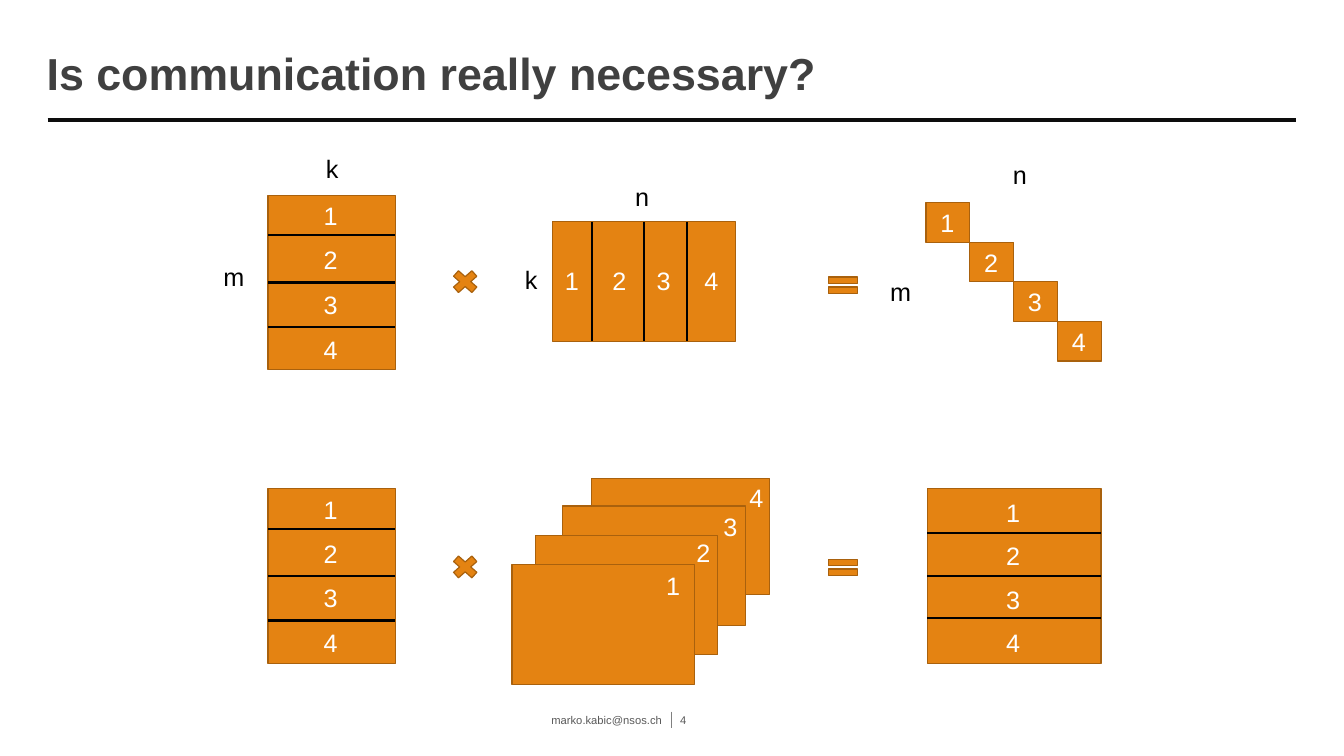
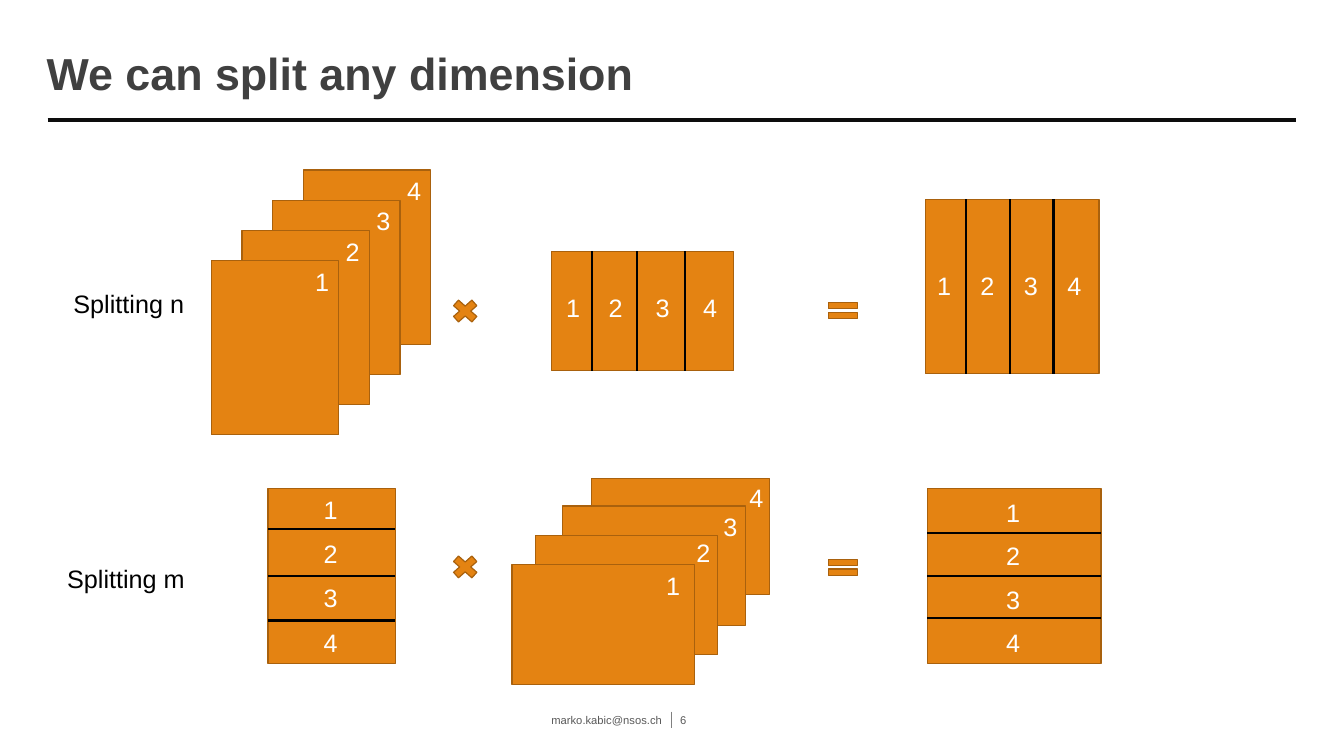
from dataclasses import dataclass

import pptx
import pptx.dml.color
import pptx.enum.shapes
import pptx.enum.text
import pptx.oxml.ns
import pptx.presentation
import pptx.shapes.autoshape
import pptx.shapes.connector
import pptx.slide
import pptx.util
from lxml import etree

Pt = pptx.util.Pt
SHAPE = pptx.enum.shapes.MSO_SHAPE
ALIGN = pptx.enum.text.PP_ALIGN
ANCHOR = pptx.enum.text.MSO_ANCHOR

COLORS = {
    "matrix": "E48312", "edge": "A9610D", "cut": "000000", "label": "FFFFFF",
    "text": "000000", "title": "404040", "rule": "0D0D0D",
    "footer": "595959", "divider": "808080",
}
FONT = "Arial"
DIGIT_WIDTH, LABEL_HEIGHT = 22.3, 29
FOOTER_TOP, FOOTER_HEIGHT = 508.3, 11.5
AUTHOR = "marko.kabic@nsos.ch"


@dataclass(frozen=True)
class Area:
    left: float
    top: float
    width: float
    height: float


@dataclass(frozen=True)
class Style:
    size: float = 18
    color: str = "text"
    bold: bool = False
    align: ALIGN = ALIGN.CENTER
    anchor: ANCHOR = ANCHOR.TOP
    insets: tuple[float, float, float, float] = (0, 3.6, 0, 3.6)


@dataclass(frozen=True)
class Matrix:
    """A matrix cut into numbered strips; cuts and labels run along the split."""
    area: Area
    cuts: tuple[float, ...]
    labels: tuple[float, ...]
    across: float
    columns: bool = False


@dataclass(frozen=True)
class Sheet:
    """One whole matrix in a stack, with its number placed near a corner."""
    number: int
    area: Area
    label_left: float
    label_top: float


@dataclass(frozen=True)
class Caption:
    words: str
    left: float
    top: float
    width: float = 30


LABEL = Style(color="label")
TITLE = Style(32, "title", True, ALIGN.LEFT, ANCHOR.BOTTOM, (0, 0, 0, 5.8))
FOOTER_LEFT = Style(8, "footer", False, ALIGN.RIGHT, ANCHOR.MIDDLE, (0, 0, 5.8, 0))
FOOTER_RIGHT = Style(8, "footer", False, ALIGN.LEFT, ANCHOR.MIDDLE, (5.8, 0, 0, 0))


# Basic elements
def color(name: str) -> pptx.dml.color.RGBColor:
    return pptx.dml.color.RGBColor.from_string(COLORS[name])


def add_text(slide: pptx.slide.Slide, area: Area, words: str, style: Style) -> None:
    box = slide.shapes.add_textbox(Pt(area.left), Pt(area.top),
                                   Pt(area.width), Pt(area.height))
    frame = box.text_frame
    frame.text = words
    frame.word_wrap = True
    frame.vertical_anchor = style.anchor
    (frame.margin_left, frame.margin_top,
     frame.margin_right, frame.margin_bottom) = map(Pt, style.insets)
    para = frame.paragraphs[0]
    para.alignment = style.align
    span = para.runs[0]
    span.font.name = FONT
    span.font.size = Pt(style.size)
    span.font.bold = style.bold
    span.font.color.rgb = color(style.color)


def add_number(slide: pptx.slide.Slide, number: int, left: float, top: float) -> None:
    add_text(slide, Area(left, top, DIGIT_WIDTH, LABEL_HEIGHT), str(number), LABEL)


def add_solid(slide: pptx.slide.Slide, area: Area,
              kind: SHAPE = SHAPE.RECTANGLE) -> pptx.shapes.autoshape.Shape:
    shape = slide.shapes.add_shape(kind, Pt(area.left), Pt(area.top),
                                   Pt(area.width), Pt(area.height))
    shape.shadow.inherit = False
    shape.fill.solid()
    shape.fill.fore_color.rgb = color("matrix")
    shape.line.color.rgb = color("edge")
    shape.line.width = Pt(0.85)
    return shape


def add_line(slide: pptx.slide.Slide, start: tuple[float, float],
             end: tuple[float, float], color_name: str,
             width: float) -> pptx.shapes.connector.Connector:
    line = slide.shapes.add_connector(pptx.enum.shapes.MSO_CONNECTOR.STRAIGHT,
                                      *map(Pt, start + end))
    line.line.color.rgb = color(color_name)
    line.line.width = Pt(width)
    etree.SubElement(line._element.spPr, pptx.oxml.ns.qn("a:effectLst"))
    return line


# Matrix drawings
def draw_matrix(slide: pptx.slide.Slide, matrix: Matrix) -> None:
    area = matrix.area
    body = add_solid(slide, area)
    right, bottom = area.left + area.width, area.top + area.height
    length = area.width if matrix.columns else area.height
    first_side, last_side = (0, 2) if matrix.columns else (1, 3)
    for cut in matrix.cuts:
        if matrix.columns:
            start, end = (area.left + cut, area.top), (area.left + cut, bottom)
        else:
            start, end = (area.left, area.top + cut), (right, area.top + cut)
        line = add_line(slide, start, end, "cut", 1.5)
        if abs(cut - length / 2) < 0.1:
            line.begin_connect(body, first_side)
            line.end_connect(body, last_side)
    for number, along in enumerate(matrix.labels, 1):
        shift_x, shift_y = ((along, matrix.across) if matrix.columns
                            else (matrix.across, along))
        add_number(slide, number, area.left + shift_x, area.top + shift_y)


def draw_stack(slide: pptx.slide.Slide, sheets: list[Sheet]) -> None:
    for sheet in sheets:
        add_solid(slide, sheet.area)
    for sheet in sheets:
        add_number(slide, sheet.number, sheet.area.left + sheet.label_left,
                   sheet.area.top + sheet.label_top)


def draw_diagonal(slide: pptx.slide.Slide) -> None:
    for step in range(4):
        left, top = 661.5 + 31.3 * step, 144.7 + 28.3 * step
        add_solid(slide, Area(left, top, 31.3, 28.3))
        add_number(slide, step + 1, left + 4, top)


def draw_operators(slide: pptx.slide.Slide, times_middle: float,
                   equals_middle: float) -> None:
    add_solid(slide, Area(319.7, times_middle - 11.2, 25.2, 22.4), SHAPE.MATH_MULTIPLY)
    add_solid(slide, Area(588, equals_middle - 10, 28, 20), SHAPE.MATH_EQUAL)


def draw_captions(slide: pptx.slide.Slide, captions: list[Caption]) -> None:
    for caption in captions:
        area = Area(caption.left, caption.top, caption.width, LABEL_HEIGHT)
        add_text(slide, area, caption.words, Style())


# Matrices
def row_split_left(top: float) -> Matrix:
    return Matrix(Area(191.5, top, 91, 124.6), (28.5, 62.3, 94),
                  (0, 31.5, 63.5, 95.6), 33.5)


ROW_SPLIT_RESULT = Matrix(Area(662.5, 349.2, 124, 124.6), (31.5, 62.3, 92.4),
                          (2.2, 33.4, 64.4, 95.6), 50)
COLUMN_SPLIT_RESULT = Matrix(Area(661, 142.5, 124, 124.6), (29, 60.5, 91.5),
                             (2.2, 33.2, 64.2, 95.2), 47, columns=True)
K_SPLIT_RIGHT = Matrix(Area(394.9, 158.5, 130.4, 85.2), (27.9, 65.2, 96),
                       (2.5, 36.4, 68, 102), 27.8, columns=True)
N_SPLIT_RIGHT = Matrix(Area(393.8, 179.6, 130.4, 85.2), (29, 61.5, 95.6),
                       (4.5, 34.8, 68.4, 102.3), 25.5, columns=True)

WIDE_STACK = [
    Sheet(4, Area(422.5, 341.7, 127.2, 83), 106.7, -1),
    Sheet(3, Area(402, 361.5, 130.4, 85.2), 108.5, 0),
    Sheet(2, Area(382.4, 382.4, 130.4, 85.2), 108.8, -2),
    Sheet(1, Area(365.8, 403.5, 130.4, 85.2), 103.8, 0.5),
]
TALL_STACK = [
    Sheet(number, Area(151 + 21.9 * (number - 1), 186 - 21.5 * (number - 1), 91, 124.6),
          67.9, 0.4)
    for number in range(4, 0, -1)
]


# Slides
def add_slide(deck: pptx.presentation.Presentation, title: str,
              page: int) -> pptx.slide.Slide:
    slide = deck.slides.add_slide(deck.slide_layouts[6])
    add_text(slide, Area(33.3, 9.4, 892, 67.7), title, TITLE)
    add_line(slide, (34, 85.7), (926, 85.7), "rule", 3)
    add_line(slide, (480, FOOTER_TOP), (480, FOOTER_TOP + FOOTER_HEIGHT), "divider", 0.75)
    add_text(slide, Area(154.8, FOOTER_TOP, 324, FOOTER_HEIGHT), AUTHOR, FOOTER_LEFT)
    add_text(slide, Area(480, FOOTER_TOP, 30, FOOTER_HEIGHT), str(page), FOOTER_RIGHT)
    return slide


def draw_m_split(slide: pptx.slide.Slide) -> None:
    draw_matrix(slide, row_split_left(349.2))
    draw_operators(slide, 405, 405.3)
    draw_stack(slide, WIDE_STACK)
    draw_matrix(slide, ROW_SPLIT_RESULT)


def main() -> None:
    deck = pptx.Presentation()
    deck.slide_width, deck.slide_height = Pt(960), Pt(540)

    # Diagonal product above, split over m below
    slide = add_slide(deck, "Is communication really necessary?", 4)
    draw_matrix(slide, row_split_left(139.5))
    draw_operators(slide, 201.2, 203.8)
    draw_matrix(slide, K_SPLIT_RIGHT)
    draw_diagonal(slide)
    draw_captions(slide, [
        Caption("m", 152, 183), Caption("k", 222.3, 105.8),
        Caption("k", 364.5, 185.3), Caption("n", 443.7, 126),
        Caption("m", 628.4, 193.7), Caption("n", 713.5, 110.2),
    ])
    draw_m_split(slide)

    # Split over n above, split over m below
    slide = add_slide(deck, "We can split any dimension", 6)
    draw_stack(slide, TALL_STACK)
    draw_operators(slide, 222.2, 221.8)
    draw_matrix(slide, N_SPLIT_RIGHT)
    draw_matrix(slide, COLUMN_SPLIT_RESULT)
    draw_captions(slide, [
        Caption("Splitting n", 30.8, 202.4, 122.4),
        Caption("Splitting m", 28.8, 399, 122.4),
    ])
    draw_m_split(slide)

    deck.save("out.pptx")


if __name__ == "__main__":
    main()
